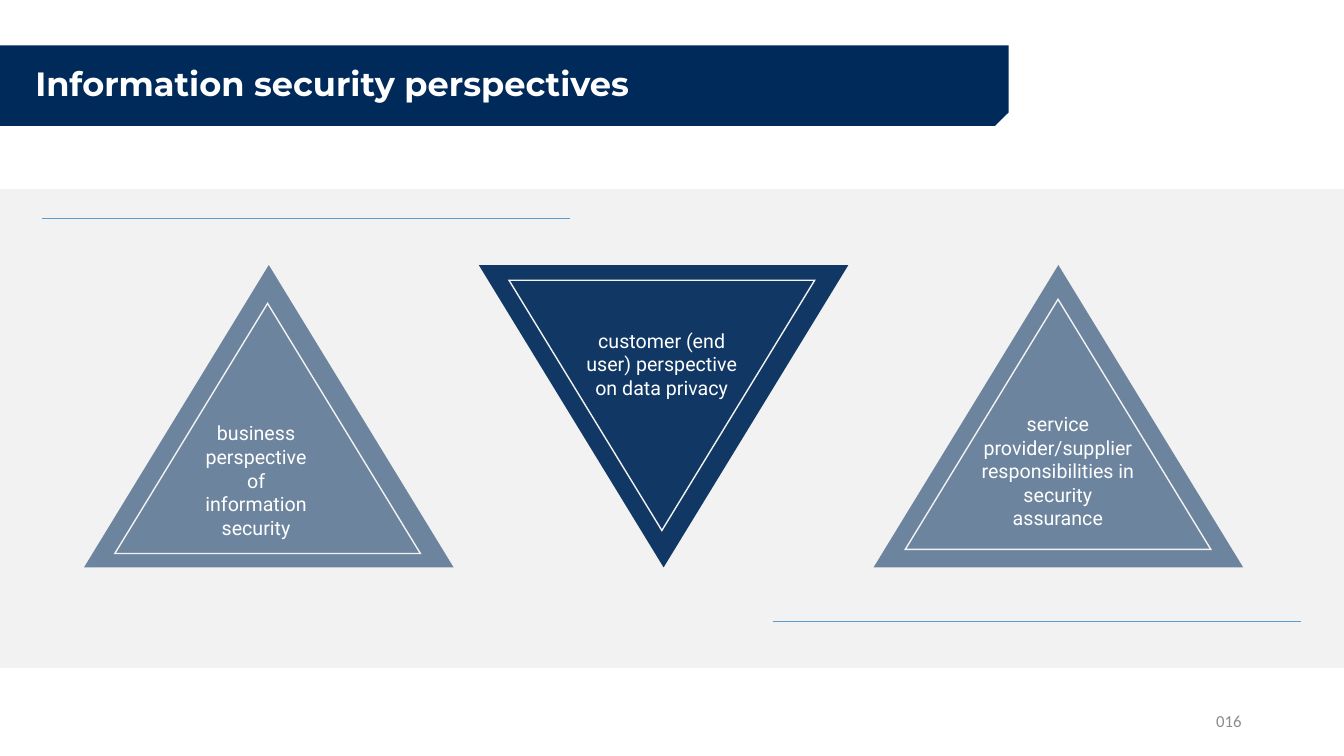
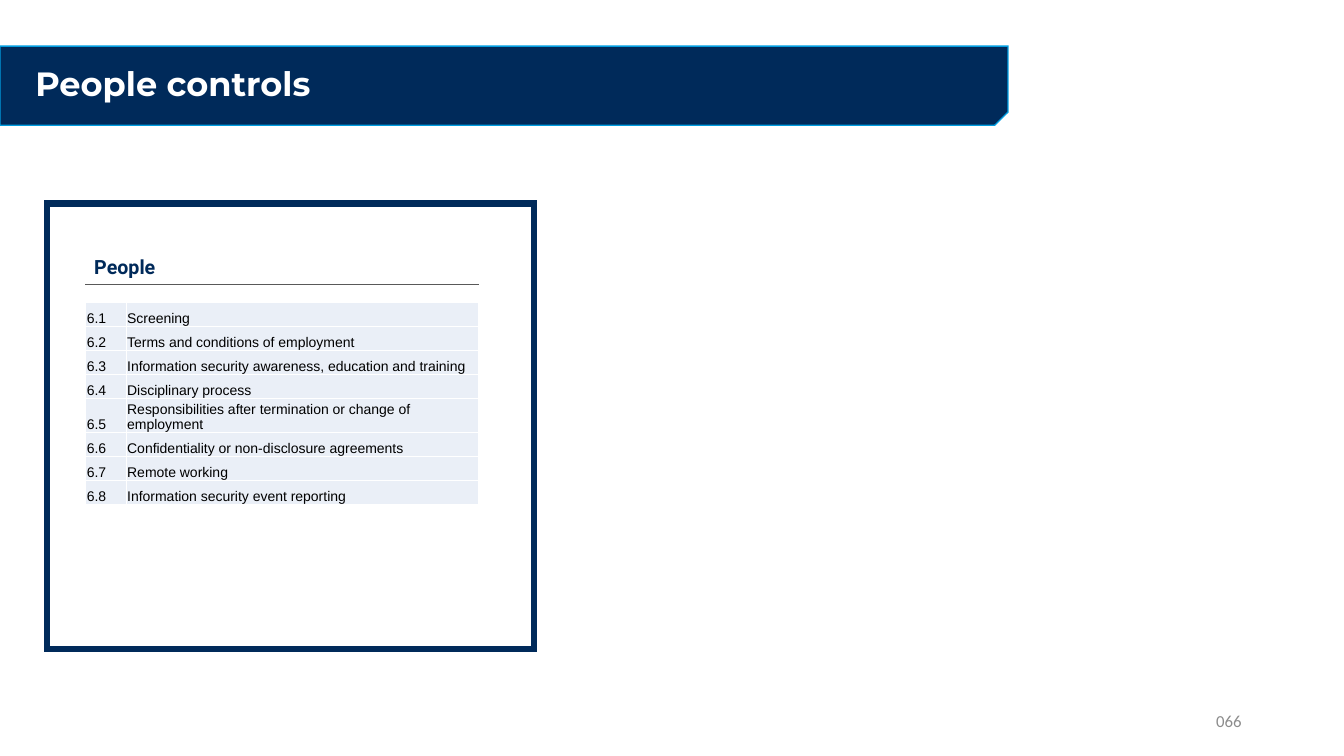
import lxml.etree
import pptx
import pptx.util
import pptx.dml.color
import pptx.enum.shapes
import pptx.enum.text
import pptx.oxml.ns

Pt = pptx.util.Pt
SHAPE = pptx.enum.shapes.MSO_SHAPE
ALIGN = pptx.enum.text.PP_ALIGN
ANCHOR = pptx.enum.text.MSO_ANCHOR
qn = pptx.oxml.ns.qn

NAVY, SKY, BLUE = "002A5A", "009DE0", "5B9BD5"
WHITE, PALE, ICE = "FFFFFF", "F2F2F2", "EAEFF7"
BLACK, DARK_GREY, GREY = "000000", "595959", "8C8C8C"

PERSPECTIVES = [
    ("business perspective\nof information security",
     (82, 216.7), (131.8, 297.4, 102.2, 92.2), 0, 55),
    ("customer (end user) perspective on data privacy",
     (363.6, 200.2), (407.5, 231.1, 130.3, 58.3), 180, 93),
    ("service provider/supplier responsibilities in security assurance",
     (646.6, 213.8), (690.5, 290.9, 130.3, 92.2), 0, 55),
]
PEOPLE_CONTROLS = [
    "Screening",
    "Terms and conditions of employment",
    "Information security awareness, education and training",
    "Disciplinary process",
    "Responsibilities after termination or change of employment",
    "Confidentiality or non-disclosure agreements",
    "Remote working",
    "Information security event reporting",
]


def colour(value):
    return pptx.dml.color.RGBColor.from_string(value)


def points(*lengths):
    return [Pt(length) for length in lengths]


def child(parent, tag, **attributes):
    element = lxml.etree.SubElement(parent, qn(tag))
    for name, value in attributes.items():
        element.set(name, str(value))
    return element


def set_text(frame, text, font, size, ink, bold=False, align=ALIGN.LEFT):
    frame.text = text
    for para in frame.paragraphs:
        para.alignment = align
        for span in para.runs:
            span.font.name = font
            span.font.size = Pt(size)
            span.font.bold = bold
            span.font.color.rgb = colour(ink)


def add_shape(page, kind, area, fill=None, opacity=100, line=None, width=1):
    shape = page.shapes.add_shape(kind, *points(*area))
    shape.shadow.inherit = False
    if fill:
        shape.fill.solid()
        shape.fill.fore_color.rgb = colour(fill)
        if opacity < 100:
            tint = shape.element.spPr.find(qn("a:solidFill"))[0]
            child(tint, "a:alpha", val=opacity * 1000)
    else:
        shape.fill.background()
    if line:
        shape.line.color.rgb = colour(line)
        shape.line.width = Pt(width)
        child(shape.element.spPr.find(qn("a:ln")), "a:miter", lim=800000)
    else:
        shape.line.fill.background()
    return shape


def add_rule(page, left, top, length, ink):
    rule = page.shapes.add_connector(
        pptx.enum.shapes.MSO_CONNECTOR.STRAIGHT,
        *points(left, top, left + length, top))
    rule.line.color.rgb = colour(ink)
    rule.line.width = Pt(0.5)
    child(rule.element.spPr, "a:effectLst")


def add_text(page, area, text, *style, wrap=True, anchor=ANCHOR.TOP, **options):
    box = page.shapes.add_textbox(*points(*area))
    box.text_frame.word_wrap = wrap
    box.text_frame.vertical_anchor = anchor
    set_text(box.text_frame, text, *style, **options)


def add_page(deck, title_text, number, band_line):
    page = deck.slides.add_slide(deck.slide_layouts[5])
    band = add_shape(page, SHAPE.SNIP_ROUND_RECTANGLE, (0, 33, 720, 56.5),
                     NAVY, line=band_line)
    band.adjustments[0] = 0
    band.adjustments[1] = 0.167
    band.element.spPr.find(qn("a:xfrm")).set("flipV", "1")

    title = page.shapes.title
    title.left, title.top, title.width, title.height = points(18, 33, 684, 56.5)
    frame = title.text_frame
    frame.word_wrap = True
    frame.auto_size = pptx.enum.text.MSO_AUTO_SIZE.NONE
    frame.vertical_anchor = ANCHOR.MIDDLE
    set_text(frame, title_text, "Montserrat", 24, WHITE, bold=True)
    frame.paragraphs[0].line_spacing = 0.9
    band.element.addnext(title.element)

    add_text(page, (678, 500.5, 216, 28.8), number, "Calibri", 12, GREY,
             anchor=ANCHOR.MIDDLE, align=ALIGN.RIGHT)
    return page


def add_perspective(page, index, text, inner, label, rotation, opacity):
    outer = add_shape(page, SHAPE.ISOSCELES_TRIANGLE,
                      (60 + 282 * index, 189.3, 264, 216), NAVY, opacity)
    outline = add_shape(page, SHAPE.ISOSCELES_TRIANGLE,
                        (*inner, 218.3, 178.7), line=PALE)
    outer.rotation = outline.rotation = rotation
    add_text(page, label, text, "Roboto", 14, WHITE, align=ALIGN.CENTER)


def format_cell(cell, text):
    cell.margin_left = cell.margin_right = cell.margin_top = Pt(0.75)
    cell.margin_bottom = 0
    cell.vertical_anchor = ANCHOR.BOTTOM
    set_text(cell.text_frame, text, "Arial", 10, BLACK)
    properties = cell._tc.get_or_add_tcPr()
    for side in ("a:lnL", "a:lnR", "a:lnT", "a:lnB"):
        border = child(properties, side, w=Pt(1))
        child(child(border, "a:solidFill"), "a:srgbClr", val=WHITE)
    cell.fill.solid()
    cell.fill.fore_color.rgb = colour(ICE)


def add_control_table(page, left, top, section, controls):
    widths, row_height = (28.8, 252), 17.1
    table = page.shapes.add_table(
        len(controls), 2,
        *points(left, top, sum(widths), row_height * len(controls))).table
    table.first_row = table.horz_banding = False
    for column, width in zip(table.columns, widths):
        column.width = Pt(width)
    for index, control in enumerate(controls):
        table.rows[index].height = Pt(row_height)
        format_cell(table.cell(index, 0), f"{section}.{index + 1}")
        format_cell(table.cell(index, 1), control)


def build_perspectives(deck):
    page = add_page(deck, "Information security perspectives", "016", NAVY)
    panel = add_shape(page, SHAPE.RECTANGLE, (0, 135, 960, 342), PALE)
    page.shapes[0].element.addprevious(panel.element)
    for index, perspective in enumerate(PERSPECTIVES):
        add_perspective(page, index, *perspective)
    add_rule(page, 30, 156, 377.5, BLUE)
    add_rule(page, 552, 444, 377.5, BLUE)


def build_people_controls(deck):
    page = add_page(deck, "People controls", "066", SKY)
    add_shape(page, SHAPE.RECTANGLE, (33.8, 145.4, 347.8, 318.2),
              line=NAVY, width=4.5)
    add_text(page, (60.2, 178.6, 59, 24.5), "People", "Roboto", 14, NAVY,
             bold=True, wrap=False)
    add_rule(page, 61, 203, 281, DARK_GREY)
    add_control_table(page, 61.3, 216, 6, PEOPLE_CONTROLS)


def main():
    deck = pptx.Presentation()
    deck.slide_width, deck.slide_height = points(960, 540)
    build_perspectives(deck)
    build_people_controls(deck)
    deck.save("out.pptx")


if __name__ == "__main__":
    main()
